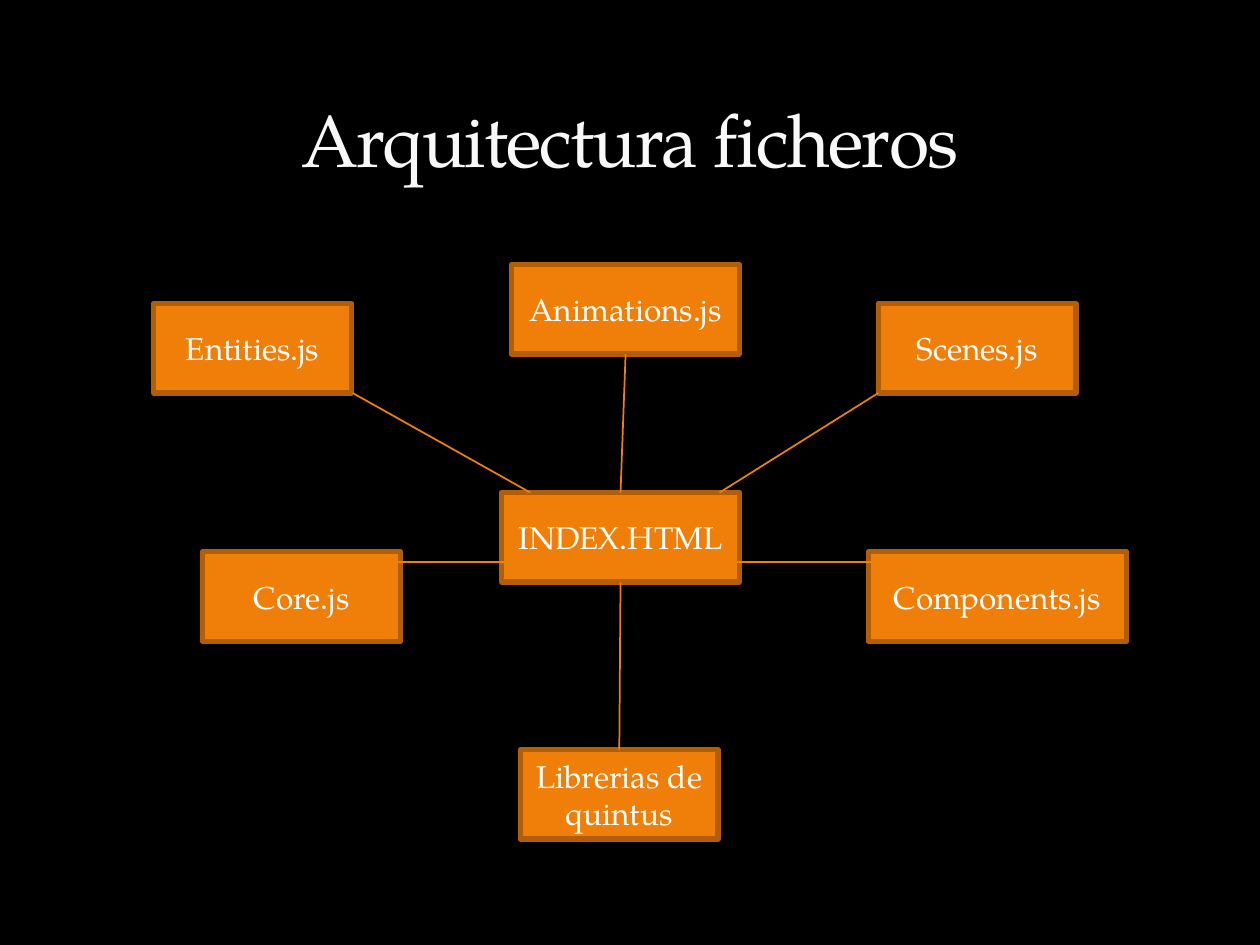
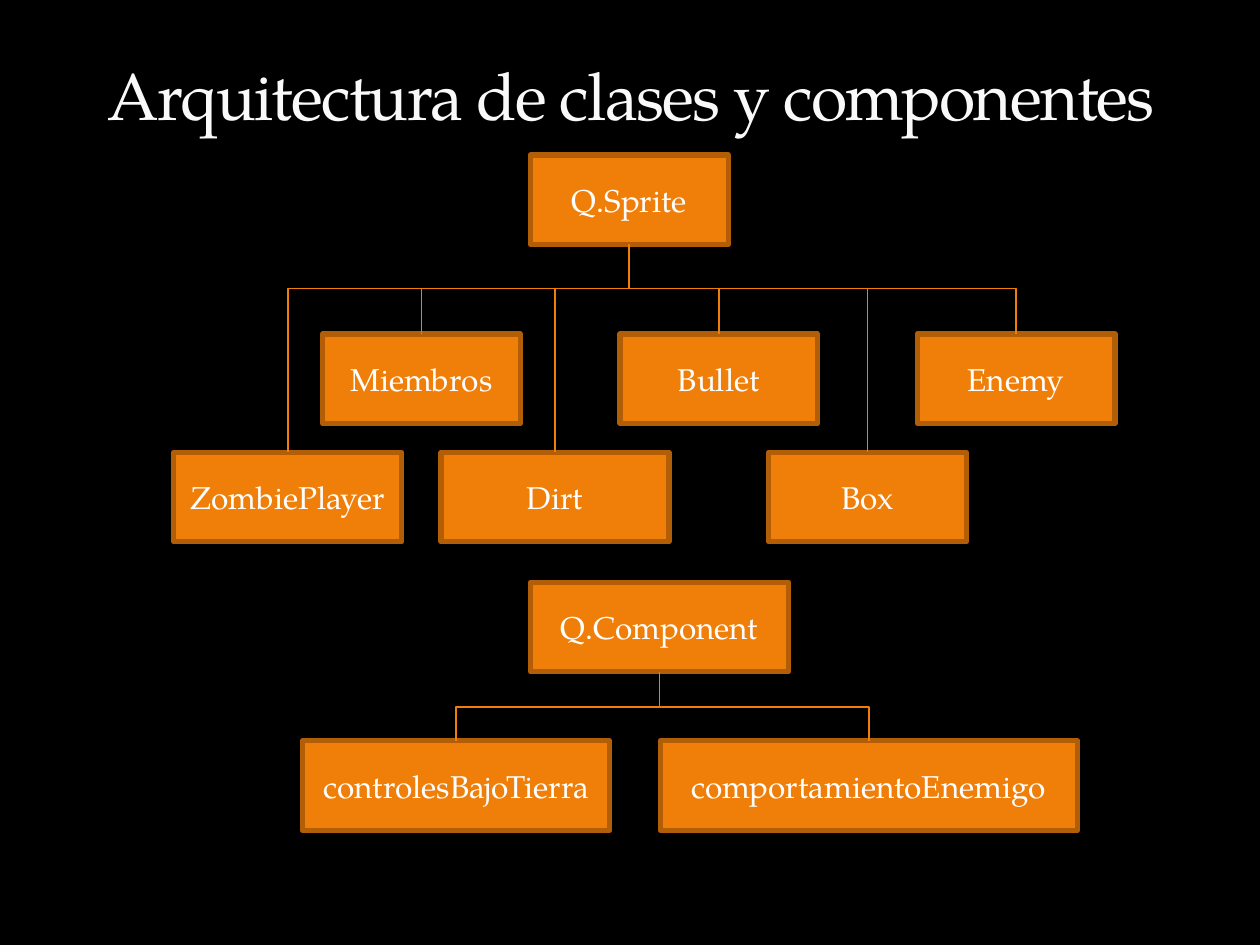
from lxml import etree
from pptx import Presentation
from pptx import util as u
from pptx.dml.color import RGBColor
from pptx.enum import shapes, text
from pptx.oxml.ns import qn

FONT = "TeX Gyre Pagella"
BLACK, WHITE, TITLE, OUTLINE = "000000", "FFFFFF", "F9F9F9", "2C2C2C"
ORANGE, BROWN = "F07F09", "B25E07"
NODE_H = 0.71
NARROW, MEDIUM, WIDE = 1.57, 1.81, 2.05
TOP, LEFT, BOTTOM, RIGHT = range(4)


def color(target, value):
    if hasattr(target, "solid"):
        target.solid()
        target = target.fore_color
    target.rgb = RGBColor.from_string(value)


def add_run(tf, content, size, value):
    p = tf.paragraphs[0]
    p.alignment = text.PP_ALIGN.CENTER
    r = p.add_run()
    r.text = content
    r.font.name = FONT
    r.font.size = u.Pt(size)
    color(r.font.fill, value)
    return r


def outline(r):
    rPr = r.font._element
    rPr.set("spc", "-100")
    ln = etree.Element(qn("a:ln"), w="3175")
    fill = etree.SubElement(ln, qn("a:solidFill"))
    clr = etree.SubElement(fill, qn("a:srgbClr"), val=OUTLINE)
    etree.SubElement(clr, qn("a:alpha"), val="25000")
    rPr.insert(0, ln)


def new_slide(prs, title, box, size):
    slide = prs.slides.add_slide(prs.slide_layouts[5])
    sp = slide.shapes.title
    sp.left, sp.top, sp.width, sp.height = map(u.Inches, box)
    tf = sp.text_frame
    tf.auto_size = text.MSO_AUTO_SIZE.NONE
    tf.word_wrap = True
    tf.vertical_anchor = text.MSO_ANCHOR.BOTTOM
    outline(add_run(tf, title, size, TITLE))
    return slide


def node(slide, label, x, y, w):
    sp = slide.shapes.add_shape(shapes.MSO_SHAPE.RECTANGLE,
                                *map(u.Inches, (x, y, w, NODE_H)))
    sp.shadow.inherit = False
    color(sp.fill, ORANGE)
    color(sp.line.fill, BROWN)
    sp.line.width = u.Pt(3)
    tf = sp.text_frame
    tf.word_wrap = True
    tf.vertical_anchor = text.MSO_ANCHOR.MIDDLE
    add_run(tf, label, 18, WHITE)
    return sp


def link(slide, kind, start=(0, 0), end=(0, 0)):
    c = slide.shapes.add_connector(kind, *map(u.Inches, (*start, *end)))
    color(c.line.fill, ORANGE)
    c.line.width = u.Pt(1)
    etree.SubElement(c._element.spPr, qn("a:effectLst"))
    return c


def join(slide, kind, a, a_side, b, b_side):
    c = link(slide, kind)
    c.begin_connect(a, a_side)
    c.end_connect(b, b_side)
    return c


def branch(slide, parent, child, drop):
    c = join(slide, shapes.MSO_CONNECTOR.ELBOW, parent, BOTTOM, child, TOP)
    x1, y1, x2, y2 = c.begin_x, c.begin_y, c.end_x, c.end_y
    run, rise = abs(x2 - x1), y2 - y1
    c.left, c.top = (x1 + x2 - rise) // 2, (y1 + y2 - run) // 2
    c.width, c.height = rise, run
    xfrm = c._element.spPr.find(qn("a:xfrm"))
    for flip in ("flipH", "flipV"):
        xfrm.attrib.pop(flip, None)
    xfrm.set("rot", "5400000" if x2 < x1 else "16200000")
    if x2 > x1:
        xfrm.set("flipH", "1")
    geom = c._element.spPr.find(qn("a:prstGeom"))
    guides = geom.find(qn("a:avLst"))
    if guides is None:
        guides = etree.SubElement(geom, qn("a:avLst"))
    ratio = round(u.Inches(drop) / rise * 100000)
    etree.SubElement(guides, qn("a:gd"), name="adj1", fmla=f"val {ratio}")


def file_map(slide, x, y):
    index = node(slide, "INDEX.HTML", x + 2.76, y + 1.81, 1.89)
    animations = node(slide, "Animations.js", x + 2.84, y, MEDIUM)
    libraries = node(slide, "Librerias de quintus", x + 2.91, y + 3.85, NARROW)
    for label, dx, dy, w in (("Entities.js", 0, 0.31, NARROW),
                             ("Scenes.js", 5.75, 0.31, NARROW),
                             ("Core.js", 0.39, 2.28, NARROW),
                             ("Components.js", 5.67, 2.28, WIDE)):
        node(slide, label, x + dx, y + dy, w)
    straight = shapes.MSO_CONNECTOR.STRAIGHT
    join(slide, straight, index, TOP, animations, BOTTOM)
    join(slide, straight, index, BOTTOM, libraries, TOP)
    for x1, y1, x2, y2 in ((2.99, 1.81, 1.58, 1.02), (4.49, 1.81, 5.75, 1.02),
                           (2.99, 2.36, 1.89, 2.36), (4.49, 2.36, 5.83, 2.36)):
        link(slide, straight, (x + x1, y + y1), (x + x2, y + y2))


def class_tree(slide, x, y, root, children, drop):
    label, dx, w = root
    parent = node(slide, label, x + dx, y, w)
    nodes = [node(slide, name, x + cx, y + cy, cw)
             for name, cx, cy, cw in children]
    for child in nodes:
        branch(slide, parent, child, drop)


def main():
    prs = Presentation()
    prs.slide_width, prs.slide_height = u.Inches(10), u.Inches(7.5)
    color(prs.slide_master.background.fill, BLACK)

    files = new_slide(prs, "Arquitectura ficheros", (0.5, 0.17, 9, 1.33), 42)
    file_map(files, 1.22, 2.1)

    classes = new_slide(prs, "Arquitectura de clases y componentes",
                        (0.51, 0.29, 9, 0.82), 37.8)
    upper, lower = 1.42, 2.36
    class_tree(classes, 1.38, 1.23, ("Q.Sprite", 2.83, NARROW),
               [("Miembros", 1.18, upper, NARROW),
                ("Bullet", 3.54, upper, NARROW),
                ("Enemy", 5.9, upper, NARROW),
                ("ZombiePlayer", 0, lower, MEDIUM),
                ("Dirt", 2.12, lower, MEDIUM),
                ("Box", 4.72, lower, NARROW)], 0.35)
    class_tree(classes, 2.4, 4.62, ("Q.Component", 1.81, WIDE),
               [("controlesBajoTierra", 0, 1.26, 2.44),
                ("comportamientoEnemigo", 2.84, 1.26, 3.31)], 0.28)
    prs.save("out.pptx")


if __name__ == "__main__":
    main()
